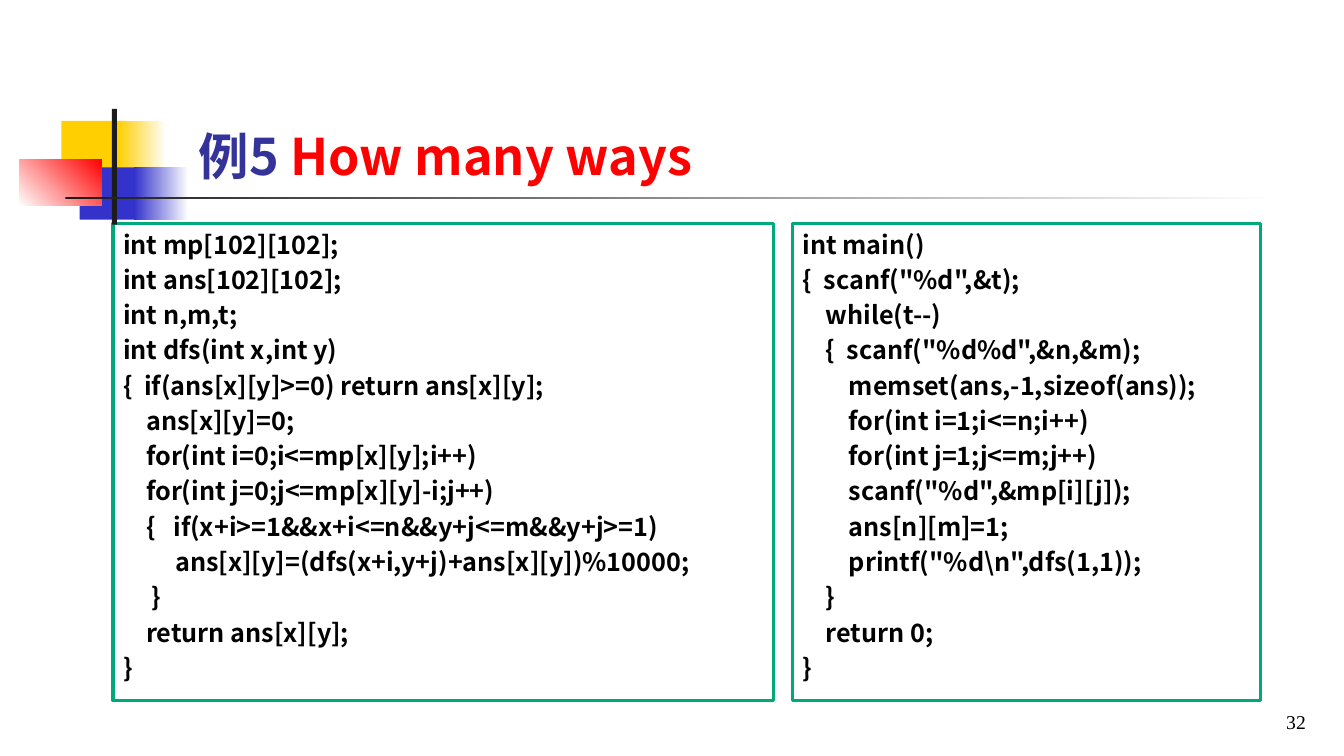
import pptx
import pptx.util
import pptx.dml.color
import pptx.enum.shapes
import pptx.enum.text

Inches, Pt = pptx.util.Inches, pptx.util.Pt
RGBColor = pptx.dml.color.RGBColor
ALIGN = pptx.enum.text.PP_ALIGN
ANCHOR = pptx.enum.text.MSO_ANCHOR

YELLOW = RGBColor(0xFF, 0xCF, 0x01)
BLUE = RGBColor(0x33, 0x33, 0xCC)
NAVY = RGBColor(0x33, 0x33, 0x99)
RED = RGBColor(0xFF, 0x00, 0x00)
INK = RGBColor(0x1C, 0x1C, 0x1C)
GREEN = RGBColor(0x00, 0xA9, 0x7C)
BLACK = RGBColor(0x00, 0x00, 0x00)
WHITE = RGBColor(0xFF, 0xFF, 0xFF)

CODE_TOP, CODE_HEIGHT = 2.22, 4.73
INDENT_UNIT = 0.0575  # inches for one column of code indent
CODE_FONT = {"name": "Noto Sans CJK SC", "size": Pt(18), "bold": True}
CODE_PARAGRAPH = {"alignment": ALIGN.LEFT, "line_spacing": Pt(21.6),
                  "space_before": Pt(3.6), "space_after": Pt(0)}

# Code lines: indent in columns, text; a tab after a brace leads to its statement
SEARCH_CODE = [
    (0, "int mp[102][102];"),
    (0, "int ans[102][102];"),
    (0, "int n,m,t;"),
    (0, "int dfs(int x,int y)"),
    (0, "{\tif(ans[x][y]>=0) return ans[x][y];"),
    (4, "ans[x][y]=0;"),
    (4, "for(int i=0;i<=mp[x][y];i++)"),
    (4, "for(int j=0;j<=mp[x][y]-i;j++)"),
    (4, "{\tif(x+i>=1&&x+i<=n&&y+j<=m&&y+j>=1)"),
    (9, "ans[x][y]=(dfs(x+i,y+j)+ans[x][y])%10000;"),
    (5, "}"),
    (4, "return ans[x][y];"),
    (0, "}"),
]
MAIN_CODE = [
    (0, "int main()"),
    (0, "{\tscanf(\"%d\",&t);"),
    (4, "while(t--)"),
    (4, "{\tscanf(\"%d%d\",&n,&m);"),
    (8, "memset(ans,-1,sizeof(ans));"),
    (8, "for(int i=1;i<=n;i++)"),
    (8, "for(int j=1;j<=m;j++)"),
    (8, "scanf(\"%d\",&mp[i][j]);"),
    (8, "ans[n][m]=1;"),
    (8, "printf(\"%d\\n\",dfs(1,1));"),
    (4, "}"),
    (4, "return 0;"),
    (0, "}"),
]


def apply_format(target, values):
    for attribute, value in values.items():
        setattr(target, attribute, value)


def place(part, box):
    names = ("left", "top", "width", "height")
    apply_format(part, dict(zip(names, map(Inches, box))))


def add_run(paragraph, words, color, font):
    run = paragraph.add_run()
    run.text = words
    run.font.color.rgb = color
    apply_format(run.font, font)
    return run


def add_ornament(slide, box):
    """Coloured blocks and crossing bars, offset from the box corner."""
    left, top, width = box
    blocks = [
        ((0.42, 0.12, 0.64, 0.52), (YELLOW,), 0),
        ((0.98, 0.12, 0.48, 0.52), (YELLOW, WHITE), 0),
        ((0.60, 0.58, 0.62, 0.52), (BLUE,), 0),
        ((1.14, 0.58, 0.54, 0.52), (BLUE, WHITE), 0),
        ((0.00, 0.50, 0.82, 0.46), (WHITE, RED), 45),
        ((0.92, 0.00, 0.05, 1.15), (INK,), 0),
        ((0.46, 0.87, width - 0.46, 0.03), (INK, WHITE), 0),
    ]
    for (x, y, w, h), colors, angle in blocks:
        block = slide.shapes.add_shape(
            pptx.enum.shapes.MSO_SHAPE.RECTANGLE,
            *map(Inches, (left + x, top + y, w, h)))
        block.shadow.inherit = False
        block.line.fill.background()
        if len(colors) == 1:
            block.fill.solid()
            block.fill.fore_color.rgb = colors[0]
        else:
            block.fill.gradient()
            block.fill.gradient_angle = angle
            for stop, color in zip(block.fill.gradient_stops, colors):
                stop.color.rgb = color


def fill_title(title, box):
    place(title, box)
    apply_format(title.text_frame, {
        "vertical_anchor": ANCHOR.BOTTOM, "word_wrap": True,
        "auto_size": pptx.enum.text.MSO_AUTO_SIZE.NONE})
    heading = title.text_frame.paragraphs[0]
    heading.alignment = ALIGN.LEFT
    for words, color, face in [("例", NAVY, "Cabin"),
                               ("5 ", NAVY, "Noto Sans CJK KR"),
                               ("How many ways", RED, "Noto Sans CJK KR")]:
        add_run(heading, words, color,
                {"name": face, "size": Pt(36), "bold": True})


def fill_code(panel, box, code):
    """Outlined code listing in a body placeholder."""
    place(panel, box)
    panel.line.color.rgb = GREEN
    panel.line.width = Pt(2.25)
    frame = panel.text_frame
    apply_format(frame, {
        "vertical_anchor": ANCHOR.TOP, "word_wrap": True,
        "auto_size": pptx.enum.text.MSO_AUTO_SIZE.NONE})
    for number, (columns, statement) in enumerate(code):
        row = frame.add_paragraph() if number else frame.paragraphs[0]
        apply_format(row, CODE_PARAGRAPH)
        # Hanging indent: the tab after a brace stops at the left margin
        hang = 0.0
        if "\t" in statement:
            hang = 0.27 if "x+i>=1" in statement else 0.21
        properties = row._p.get_or_add_pPr()
        properties.set("marL", str(Inches(columns * INDENT_UNIT + hang)))
        properties.set("indent", str(-Inches(hang)))
        properties.append(properties.makeelement(
            pptx.oxml.ns.qn("a:buNone"), {}))
        add_run(row, statement, BLACK, CODE_FONT)


def add_page_number(slide, box, number):
    corner = slide.shapes.add_textbox(*map(Inches, box))
    apply_format(corner.text_frame, {
        "word_wrap": True, "vertical_anchor": ANCHOR.BOTTOM})
    line = corner.text_frame.paragraphs[0]
    line.alignment = ALIGN.RIGHT
    add_run(line, number, BLACK, {"name": "Times New Roman", "size": Pt(14)})


def main():
    deck = pptx.Presentation()
    apply_format(deck, {"slide_width": Inches(13.33),
                        "slide_height": Inches(7.5)})
    slide = deck.slides.add_slide(deck.slide_layouts.get_by_name("Two Content"))
    title, search, program = slide.placeholders

    add_ornament(slide, (0.19, 1.08, 12.46))
    fill_title(title, (1.87, 0.72, 9.56, 1.17))
    fill_code(search, (1.12, CODE_TOP, 6.55, CODE_HEIGHT), SEARCH_CODE)
    fill_code(program, (7.86, CODE_TOP, 4.64, CODE_HEIGHT), MAIN_CODE)
    add_page_number(slide, (10.27, 6.83, 2.78, 0.5), "32")
    deck.save("out.pptx")


if __name__ == "__main__":
    main()
